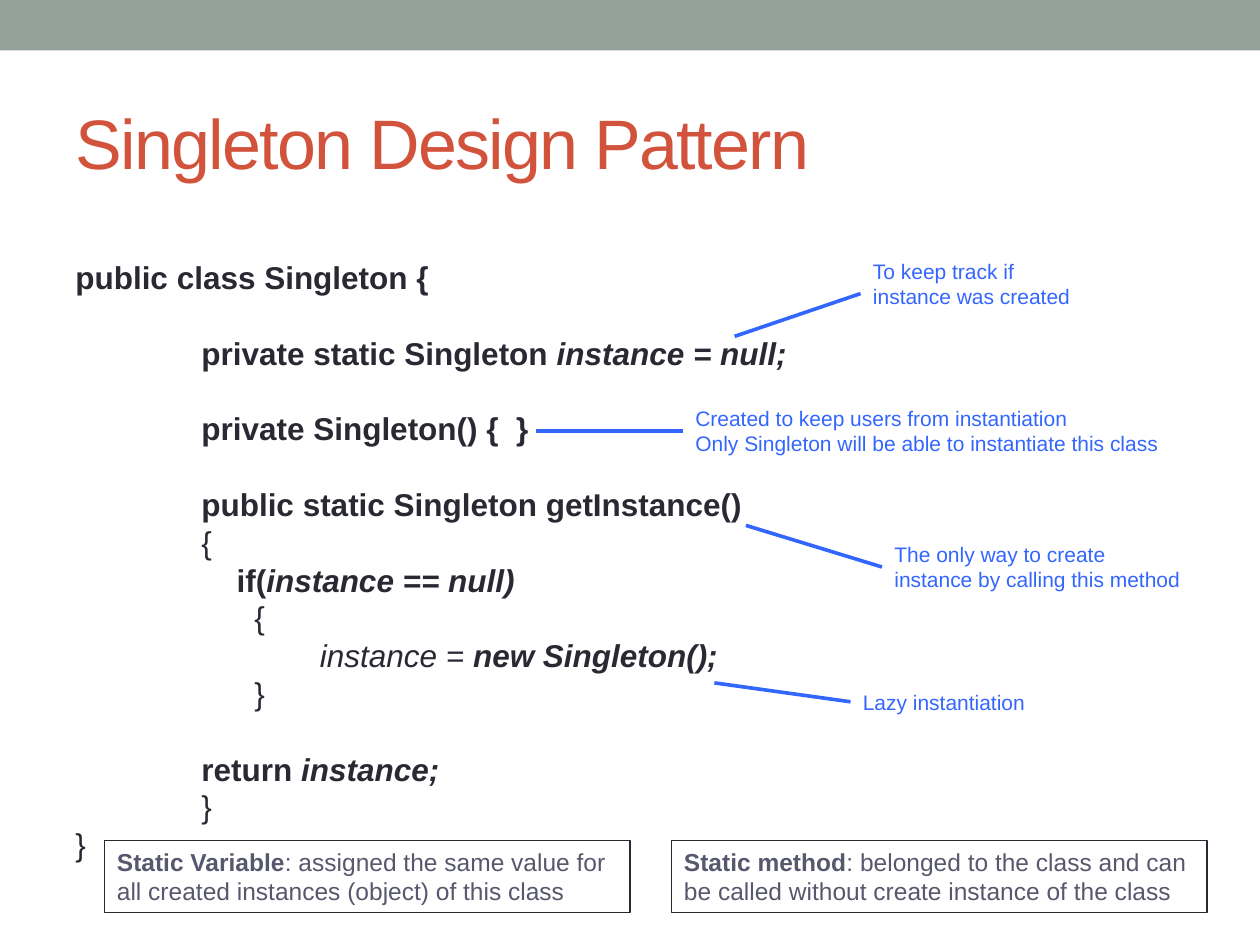
from lxml import etree
from pptx import Presentation
from pptx import util as u
from pptx.dml.color import RGBColor
from pptx.enum import shapes, text
from pptx.oxml.ns import qn

SAGE = RGBColor(0x93, 0xA2, 0x99)
RUST = RGBColor(0xD2, 0x53, 0x3C)
INK = RGBColor(0x29, 0x29, 0x34)
SLATE = RGBColor(0x57, 0x57, 0x6E)
BLUE = RGBColor(0x33, 0x66, 0xFF)


def add_run(p, words, size, color, bold=False, italic=False):
    r = p.add_run()
    r.text = words
    fmt = {"name": "Arial", "size": u.Pt(size), "bold": bold, "italic": italic}
    for key, value in fmt.items():
        setattr(r.font, key, value)
    r.font.color.rgb = color
    return r


def add_box(s, x, y, w, h):
    sp = s.shapes.add_textbox(*map(u.Inches, (x, y, w, h)))
    sp.text_frame.word_wrap = True
    return sp.text_frame


prs = Presentation()
prs.slide_width, prs.slide_height = u.Inches(10), u.Inches(7.5)
s = prs.slides.add_slide(prs.slide_layouts[5])

band = s.shapes.add_shape(shapes.MSO_SHAPE.RECTANGLE, 0, 0, prs.slide_width, u.Inches(0.4))
band.shadow.inherit = False
band.fill.solid()
band.fill.fore_color.rgb = SAGE
band.line.fill.background()

title = s.shapes.title
frame = {"left": 0.5, "top": 0.58, "width": 9, "height": 1.08}
for key, value in frame.items():
    setattr(title, key, u.Inches(value))
tf = title.text_frame
tf.vertical_anchor = text.MSO_ANCHOR.MIDDLE
p = tf.paragraphs[0]
p.alignment = text.PP_ALIGN.LEFT
r = add_run(p, "Singleton Design Pattern", 40, RUST)
r.font._element.set("spc", "-100")

PLAIN, BOLD, ITALIC, BOTH = (False, False), (True, False), (False, True), (True, True)
GAP = 21.6
code = [
    (0, 0, [("public class Singleton {", BOLD)]),
    (1, GAP, [("private static Singleton ", BOLD), ("instance = null;", BOTH)]),
    (1, GAP, [("private Singleton() {  }", BOLD)]),
    (1, GAP, [("public static Singleton getInstance()", BOLD)]),
    (1, 0, [("{", PLAIN)]),
    (1.28, 0, [("if(", BOLD), ("instance == null)", BOTH)]),
    (1.42, 0, [("{", PLAIN)]),
    (1.94, 0, [("instance = ", ITALIC), ("new Singleton();", BOTH)]),
    (1.42, 0, [("}", PLAIN)]),
    (1, GAP, [("return ", BOLD), ("instance;", BOTH)]),
    (1, 0, [("}", PLAIN)]),
    (0, 0, [("}", PLAIN)]),
]
tf = add_box(s, 0.5, 2, 9.08, 4.95)
for i, (indent, before, runs) in enumerate(code):
    p = tf.add_paragraph() if i else tf.paragraphs[0]
    p._p.get_or_add_pPr().set("marL", str(u.Inches(indent)))
    if before:
        p.space_before = u.Pt(before)
    for words, (bold, italic) in runs:
        add_run(p, words, 18, INK, bold, italic)

callouts = [
    ((5.42, 3.17, 4.42, 0.5), (5.42, 3.42, 4.25, 3.42),
     ["Created to keep users from instantiation",
      "Only Singleton will be able to instantiate this class"]),
    ((6.83, 2, 1.92, 0.5), (6.83, 2.33, 5.83, 2.67),
     ["To keep track if instance was created"]),
    ((7, 4.25, 2.5, 0.5), (7, 4.5, 5.92, 4.17),
     ["The only way to create instance by calling this method"]),
    ((6.75, 5.42, 2.5, 0.3), (6.75, 5.57, 5.67, 5.42),
     ["Lazy instantiation"]),
]
for box, ends, lines in callouts:
    tf = add_box(s, *box)
    for i, words in enumerate(lines):
        p = tf.add_paragraph() if i else tf.paragraphs[0]
        add_run(p, words, 12, BLUE)
    line = s.shapes.add_connector(shapes.MSO_CONNECTOR.STRAIGHT, *map(u.Inches, ends))
    line.line.color.rgb = BLUE
    line.line.width = u.Pt(2.08)
    etree.SubElement(line._element.spPr, qn("a:effectLst"))

notes = [
    (5.33, 4.25, "Static method",
     ": belonged to the class and can be called without create instance of the class"),
    (0.83, 4.17, "Static Variable",
     ": assigned the same value for all created instances (object) of this class"),
]
for x, w, term, meaning in notes:
    sp = s.shapes.add_shape(shapes.MSO_SHAPE.RECTANGLE, *map(u.Inches, (x, 6.67, w, 0.57)))
    sp.shadow.inherit = False
    sp.fill.background()
    sp.line.color.rgb = INK
    sp.line.width = u.Pt(0.75)
    tf = sp.text_frame
    tf.word_wrap = True
    tf.vertical_anchor = text.MSO_ANCHOR.TOP
    p = tf.paragraphs[0]
    p.alignment = text.PP_ALIGN.LEFT
    add_run(p, term, 14, SLATE, bold=True)
    add_run(p, meaning, 14, SLATE)

prs.save("out.pptx")
